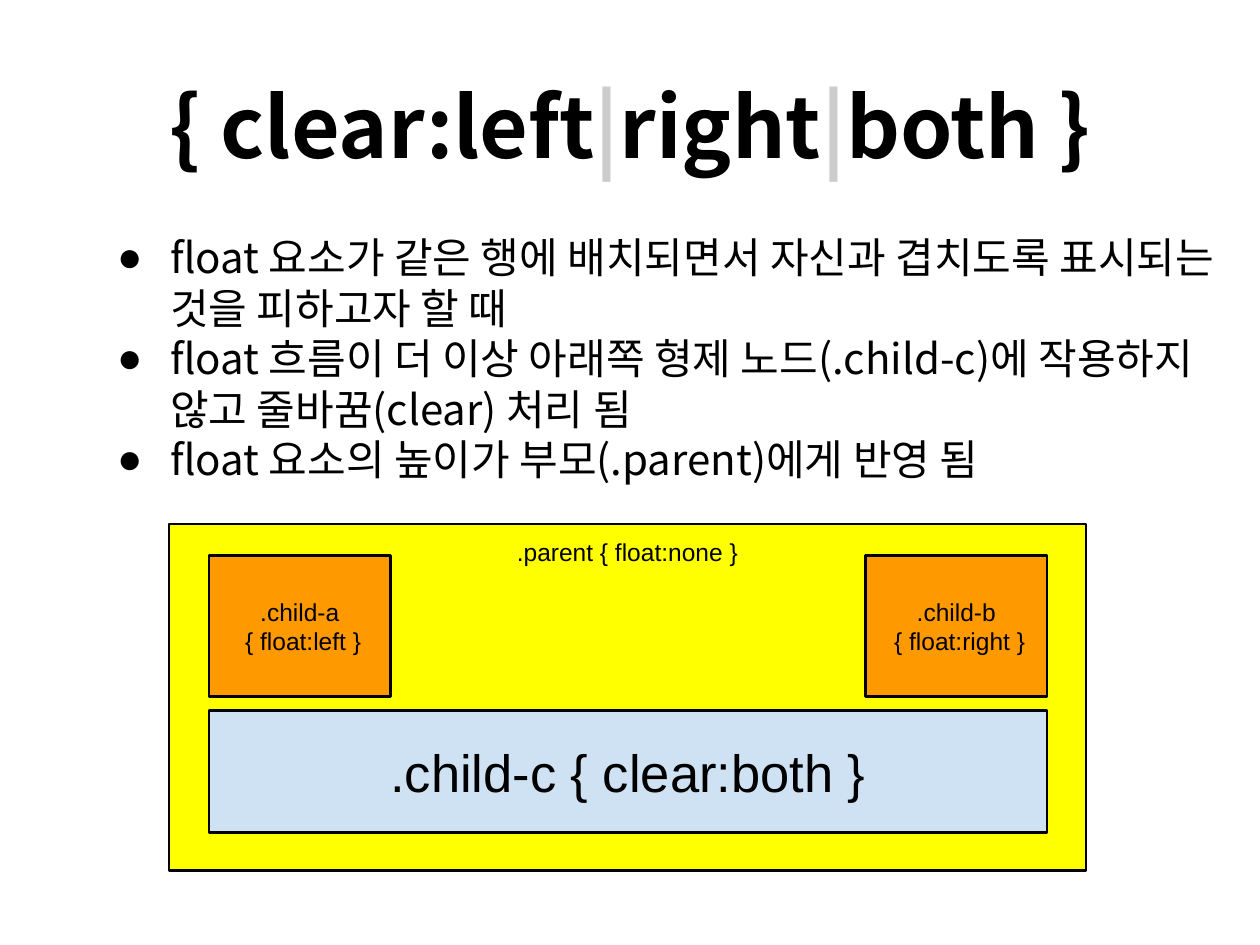
import pptx
import pptx.util
import pptx.dml.color
import pptx.enum.shapes
import pptx.enum.text
import pptx.oxml

Inches, Pt = pptx.util.Inches, pptx.util.Pt
ALIGN, ANCHOR = pptx.enum.text.PP_ALIGN, pptx.enum.text.MSO_ANCHOR

THEME = {
    "ink": "000000", "bar": "CCCCCC", "parent": "FFFF00",
    "floated": "FF9900", "cleared": "CFE2F3",
    "text_font": "Noto Sans CJK KR", "box_font": "Arial",
    "title": 48, "body": 24, "label": 14, "big_label": 30, "line": 1.5,
}

TITLE = [("{ clear:left", "ink"), ("|", "bar"), ("right", "ink"),
         ("|", "bar"), ("both }", "ink")]
BULLETS = [
    "float 요소가 같은 행에 배치되면서 자신과 겹치도록 표시되는 것을 피하고자 할 때",
    "float 흐름이 더 이상 아래쪽 형제 노드(.child-c)에 작용하지 않고 줄바꿈(clear) 처리 됨",
    "float 요소의 높이가 부모(.parent)에게 반영 됨",
]

# Box model: children share the parent's inner left and right edges.
PARENT = (1.34, 4.16, 7.28, 2.75)
INNER_LEFT, INNER_WIDTH = 1.66, 6.65
FLOAT_TOP, FLOAT_WIDTH, FLOAT_HEIGHT = 4.41, 1.44, 1.12
FLOAT_RIGHT = INNER_LEFT + INNER_WIDTH - FLOAT_WIDTH
CLEAR_TOP = FLOAT_TOP + FLOAT_HEIGHT + 0.11
BOXES = [
    (PARENT, "parent", "label", ANCHOR.TOP, [".parent { float:none }"]),
    ((INNER_LEFT, CLEAR_TOP, INNER_WIDTH, 0.97), "cleared", "big_label",
     ANCHOR.MIDDLE, [".child-c { clear:both }"]),
    ((INNER_LEFT, FLOAT_TOP, FLOAT_WIDTH, FLOAT_HEIGHT), "floated", "label",
     ANCHOR.MIDDLE, [".child-a", " { float:left }"]),
    ((FLOAT_RIGHT, FLOAT_TOP, FLOAT_WIDTH, FLOAT_HEIGHT), "floated", "label",
     ANCHOR.MIDDLE, [".child-b", " { float:right }"]),
]


def color(name):
    """Return a theme colour."""
    return pptx.dml.color.RGBColor.from_string(THEME[name])


def frame(sp, anchor):
    """Set equal insets, wrapping and anchor, and return the text frame."""
    tf = sp.text_frame
    tf.margin_left = tf.margin_top = tf.margin_right = tf.margin_bottom = Inches(0.1)
    tf.word_wrap = True
    tf.auto_size = pptx.enum.text.MSO_AUTO_SIZE.NONE
    tf.vertical_anchor = anchor
    return tf


def place(sp, left, top, width, height):
    """Move and size a shape, in inches."""
    sp.left, sp.top = Inches(left), Inches(top)
    sp.width, sp.height = Inches(width), Inches(height)


def write(tf, paragraphs, size, font, align):
    """Write paragraphs, each a list of (text, colour name) runs."""
    for i, runs in enumerate(paragraphs):
        p = tf.add_paragraph() if i else tf.paragraphs[0]
        p.alignment = align
        p.space_before = p.space_after = Pt(0)
        for text, ink in runs:
            r = p.add_run()
            r.text = text
            r.font.size, r.font.name = Pt(THEME[size]), THEME[font]
            r.font.bold = size == "title"
            r.font.color.rgb = color(ink)
            ea = pptx.oxml.parse_xml(
                '<a:ea xmlns:a="http://schemas.openxmlformats.org/drawingml/2006/main"'
                f' typeface="{THEME[font]}"/>')
            r.font._element.find(pptx.oxml.ns.qn("a:latin")).addnext(ea)


def bullet(p):
    """Give a paragraph a round bullet and a hanging indent."""
    pPr = p._p.get_or_add_pPr()
    pPr.set("marL", str(Inches(0.5)))
    pPr.set("indent", str(Inches(-0.42)))
    ns = 'xmlns:a="http://schemas.openxmlformats.org/drawingml/2006/main"'
    for xml in (f'<a:buClr {ns}><a:srgbClr val="{THEME["ink"]}"/></a:buClr>',
                f'<a:buFont {ns} typeface="Arial"/>',
                f'<a:buChar {ns} char="●"/>'):
        pPr.append(pptx.oxml.parse_xml(xml))


def add_box(s, at, fill, size, anchor, lines):
    """Add one outlined, labelled rectangle."""
    sp = s.shapes.add_shape(pptx.enum.shapes.MSO_SHAPE.RECTANGLE,
                            *(Inches(v) for v in at))
    sp.shadow.inherit = False
    sp.fill.solid()
    sp.fill.fore_color.rgb = color(fill)
    sp.line.color.rgb = color("ink")
    sp.line.width = Pt(THEME["line"])
    write(frame(sp, anchor), [[(line, "ink")] for line in lines],
          size, "box_font", ALIGN.CENTER)


prs = pptx.Presentation()
prs.slide_width, prs.slide_height = Inches(10), Inches(7.5)
s = prs.slides.add_slide(prs.slide_layouts[0])

title, body = s.placeholders
place(title, 0.75, 0.33, 8.5, 1.33)
write(frame(title, ANCHOR.MIDDLE), [TITLE], "title", "text_font", ALIGN.CENTER)

place(body, 0.75, 1.74, 9.26, 2.09)
tf = frame(body, ANCHOR.TOP)
write(tf, [[(text, "ink")] for text in BULLETS], "body", "text_font", ALIGN.LEFT)
for p in tf.paragraphs:
    bullet(p)

for box in BOXES:
    add_box(s, *box)

prs.save("out.pptx")
